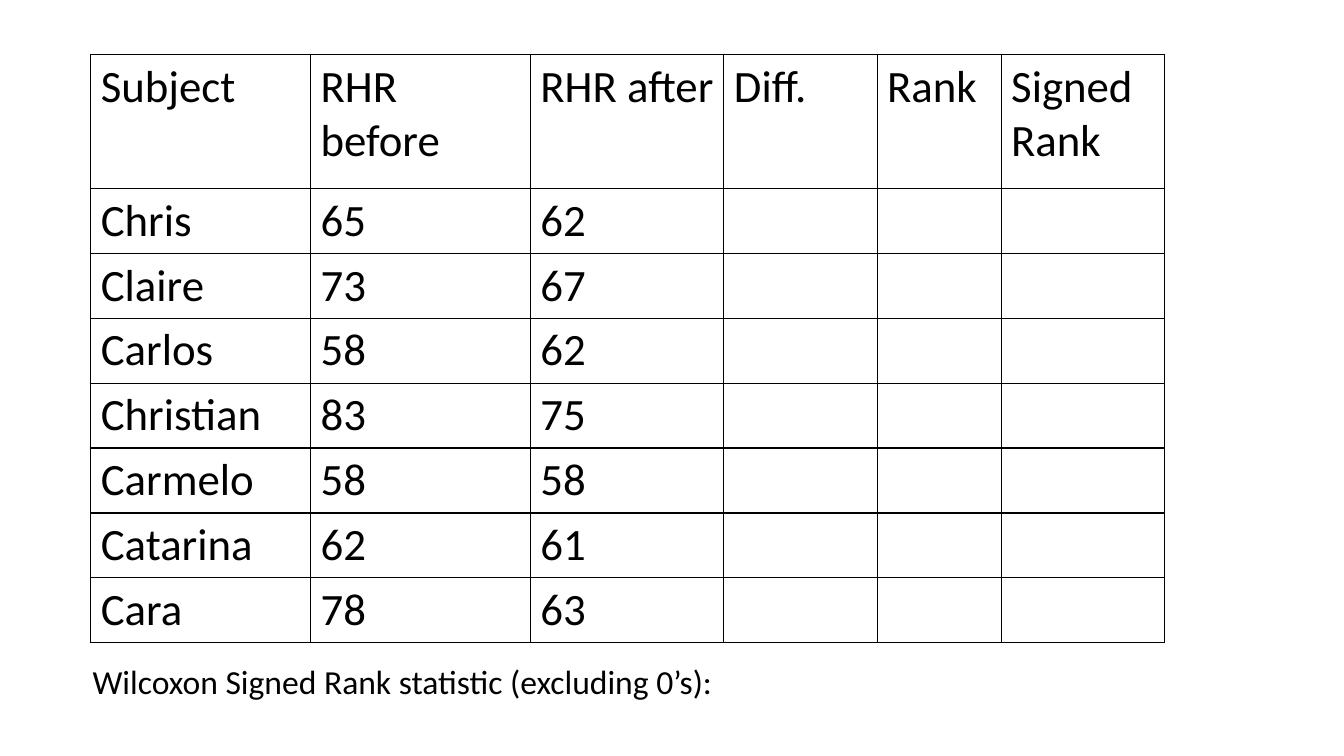
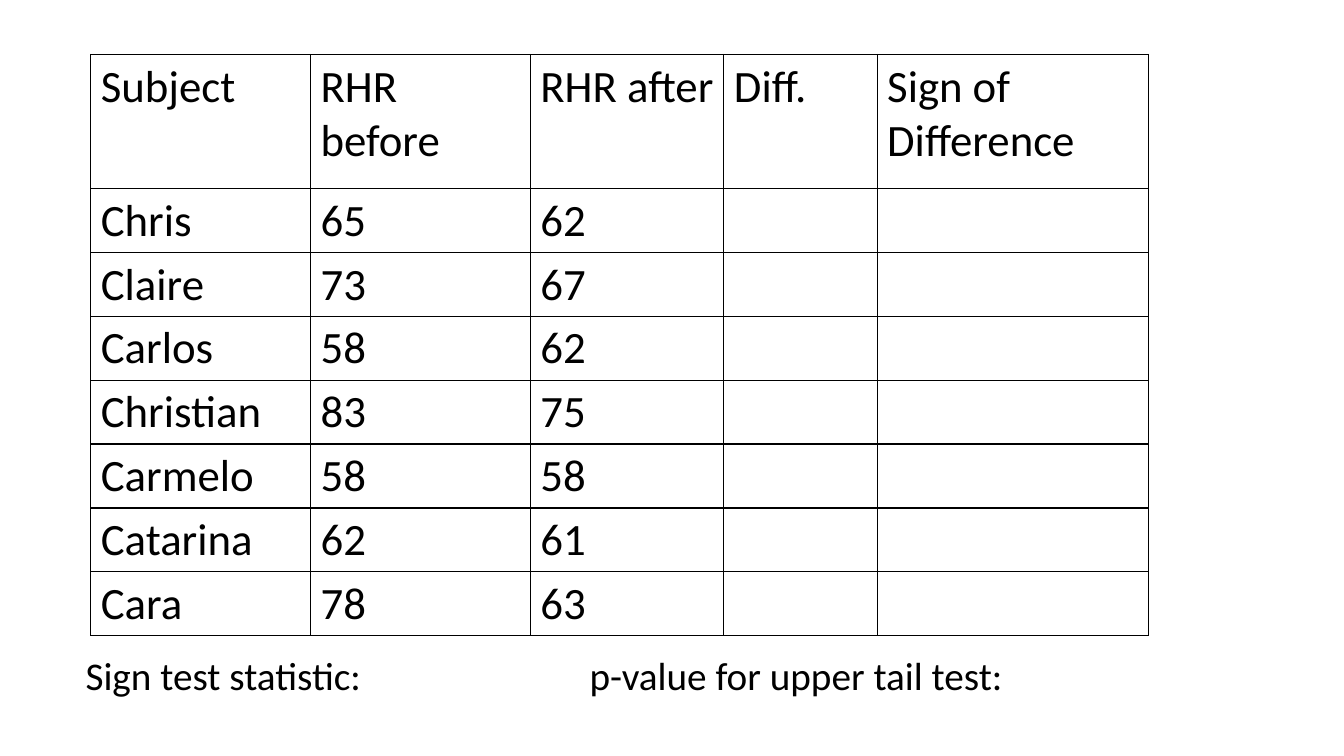
from pptx import Presentation, util as u
from pptx.dml.color import RGBColor
from pptx.oxml import parse_xml
from pptx.oxml.ns import nsdecls

PX = 9144  # EMU in one px, 100 px to the inch
FONT, INK = "Calibri", "000000"
HEAD_H, ROW_H = 133, 63
BASE = [("Subject", 218), ("RHR before", 218), ("RHR after", 192), ("Diff.", 152)]
RATES = [
    ("Chris", 65, 62),
    ("Claire", 73, 67),
    ("Carlos", 58, 62),
    ("Christian", 83, 75),
    ("Carmelo", 58, 58),
    ("Catarina", 62, 61),
    ("Cara", 78, 63),
]


def px(n):
    return u.Emu(n * PX)


def color(code):
    return RGBColor.from_string(code)


def style(para, size):
    font = para.font
    font.name, font.size, font.bold = FONT, u.Pt(size), False
    font.color.rgb = color(INK)


def border(cell):
    props = cell._tc.get_or_add_tcPr()
    for side in "LRTB":
        props.append(parse_xml(
            f'<a:ln{side} {nsdecls("a")} w="{u.Pt(1)}"><a:solidFill>'
            f'<a:srgbClr val="{INK}"/></a:solidFill></a:ln{side}>'))


# Table of heart rates, with blank columns to fill in
def grid(slide, left, top, extra):
    cols = BASE + extra
    rows = [[name for name, _ in cols], *RATES]
    wide = sum(width for _, width in cols)
    high = HEAD_H + ROW_H * len(RATES)
    table = slide.shapes.add_table(
        len(rows), len(cols), px(left), px(top), px(wide), px(high)).table
    table.first_row = table.horz_banding = False
    for col, (_, width) in zip(table.columns, cols):
        col.width = px(width)
    for i, row in enumerate(table.rows):
        row.height = px(ROW_H if i else HEAD_H)
        for j, cell in enumerate(row.cells):
            if j < len(rows[i]):
                cell.text = str(rows[i][j])
            style(cell.text_frame.paragraphs[0], 32)
            border(cell)
            cell.fill.background()


# Line under the table; a tab jumps to the given stop
def note(slide, box, words, size, stop=None):
    frame = slide.shapes.add_textbox(*map(px, box)).text_frame
    frame.word_wrap = True
    para = frame.paragraphs[0]
    para.text = words
    if stop:
        para._p.get_or_add_pPr().append(parse_xml(
            f'<a:tabLst {nsdecls("a")}><a:tab pos="{px(stop)}" algn="l"/></a:tabLst>'))
    style(para, size)


def page(deck, extra, *line):
    slide = deck.slides.add_slide(deck.slide_layouts[6])
    grid(slide, 90, 54, extra)
    note(slide, *line)


def main():
    deck = Presentation()
    deck.slide_width, deck.slide_height = px(1333), px(750)
    # Signed rank test
    page(deck, [("Rank", 123), ("Signed Rank", 162)], (82, 651, 987, 50),
         "Wilcoxon Signed Rank statistic (excluding 0’s):", 24)
    # Sign test
    page(deck, [("Sign of Difference", 269)], (75, 641, 1123, 57),
         "Sign test statistic:\tp-value for upper tail test:", 28, 500)
    deck.save("out.pptx")


if __name__ == "__main__":
    main()
